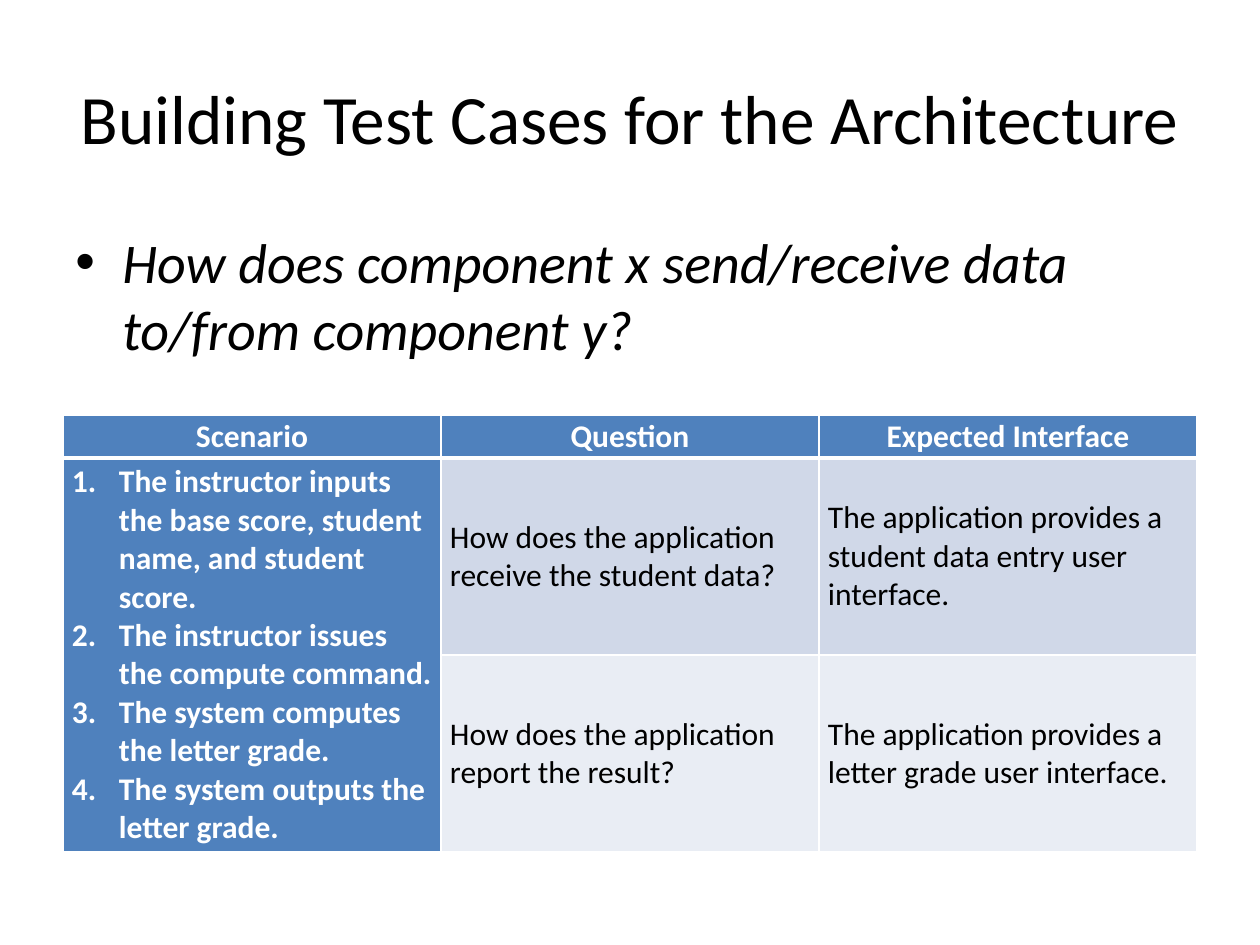
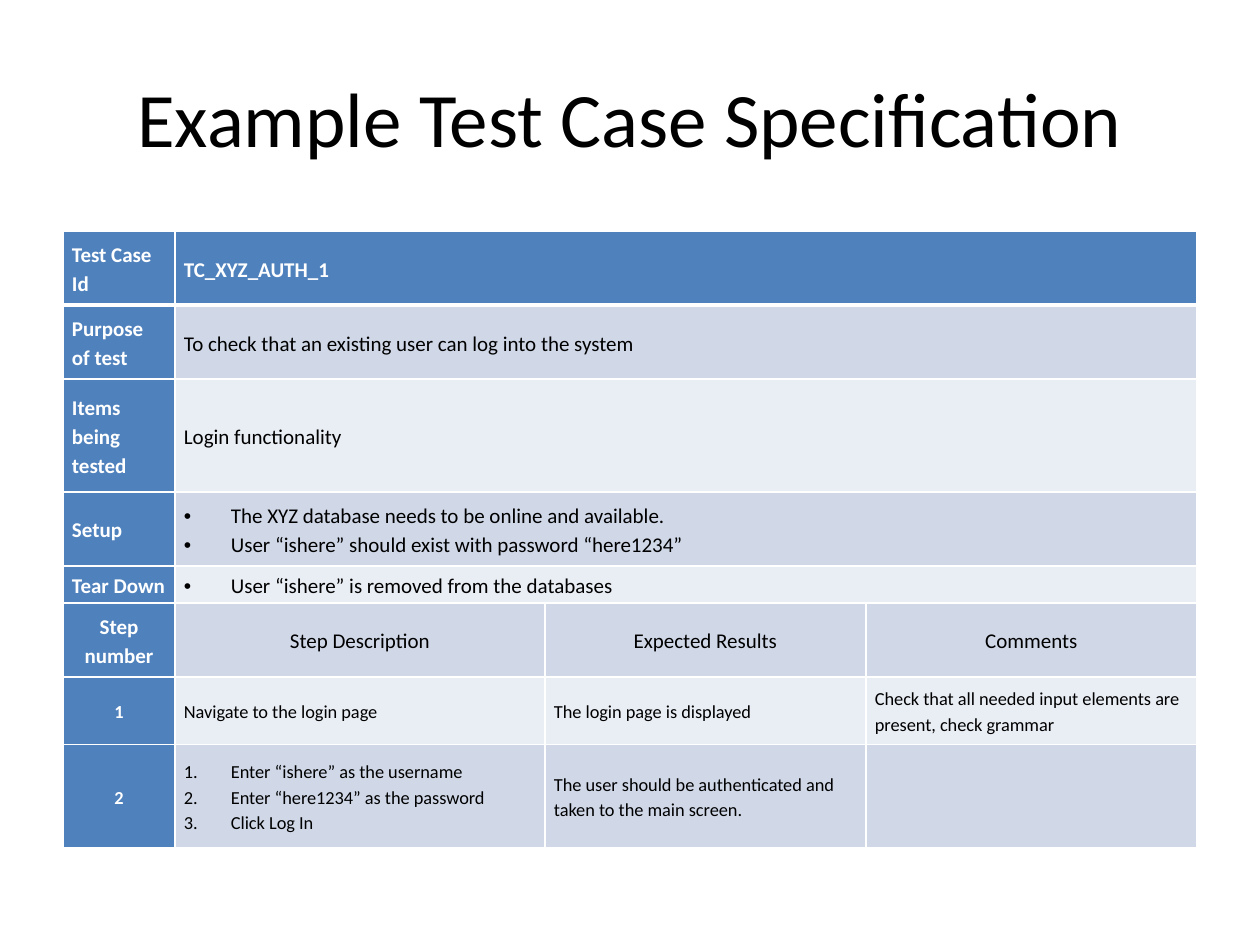
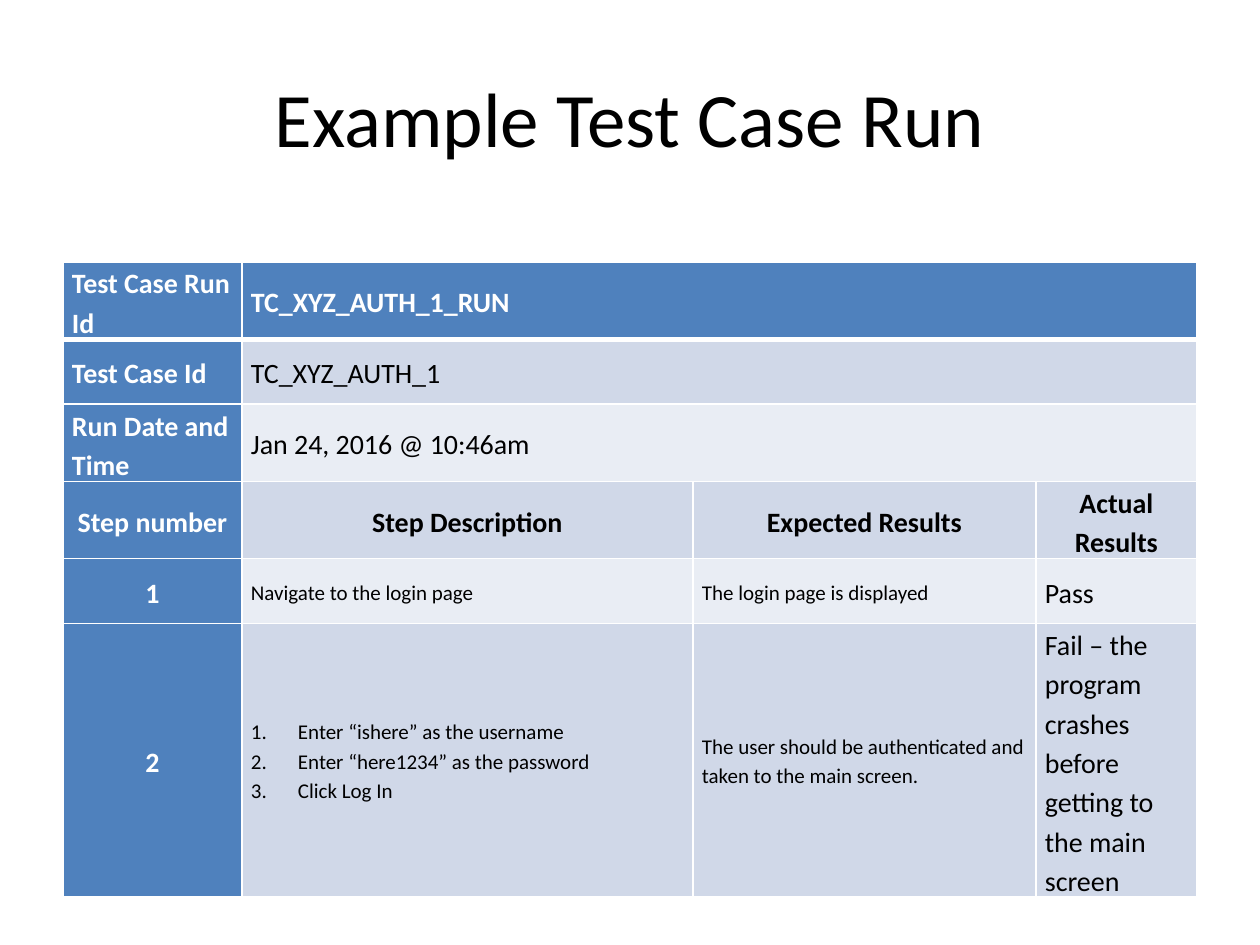
"""Builds three slides about architecture test cases and their runs."""
import dataclasses

import lxml.etree
import pptx
import pptx.dml.color
import pptx.enum.text
import pptx.oxml.ns
import pptx.util

SCALE = 914400 / 126


@dataclasses.dataclass(frozen=True)
class Theme:
    font: str = "Calibri"
    ink: str = "000000"
    paper: str = "FFFFFF"
    header: str = "4F81BD"
    bands: tuple = ("E9EDF4", "D0D8E8")
    body_size: float = 32
    left: int = 63
    width: int = 1134
    indent: int = 47
    inset: int = 9
    thin: float = 1
    thick: float = 3


theme = Theme()
CENTER = pptx.enum.text.PP_ALIGN.CENTER
LEFT = pptx.enum.text.PP_ALIGN.LEFT
MIDDLE = pptx.enum.text.MSO_ANCHOR.MIDDLE


def px(pixels):
    return pptx.util.Emu(round(pixels * SCALE))


def write(frame, lines, size, color=theme.ink, bold=False, italic=False,
          align=LEFT, spacing=1.0, marker=None):
    for index, line in enumerate(lines):
        para = frame.paragraphs[0] if index == 0 else frame.add_paragraph()
        para.alignment = align
        para.line_spacing = spacing
        if marker:
            props = para._p.get_or_add_pPr()
            props.set("marL", str(px(theme.indent)))
            props.set("indent", str(-px(theme.indent)))
            if marker == "number":
                tags = (("a:buFont", "typeface", "+mj-lt"), ("a:buAutoNum", "type", "arabicPeriod"))
            else:
                tags = (("a:buFont", "typeface", "Arial"), ("a:buChar", "char", "•"))
            for tag, key, value in tags:
                lxml.etree.SubElement(props, pptx.oxml.ns.qn(tag)).set(key, value)
        span = para.add_run()
        span.text = line
        span.font.name = theme.font
        span.font.size = pptx.util.Pt(size)
        span.font.bold = bold
        span.font.italic = italic
        span.font.color.rgb = pptx.dml.color.RGBColor.from_string(color)


login_steps = ("number", "Enter “ishere” as the username",
               "Enter “here1234” as the password", "Click Log In")
open_page = ("Navigate to the login page", "The login page is displayed")
signed_in = "The user should be authenticated and taken to the main screen."

slides = [
    dict(
        title="Building Test Cases for the Architecture", title_size=39.6,
        question="How does component x send/receive data to/from component y?",
        top=415, columns=(378, 378, 378), heights=(43, 197, 197), spacing=1.0,
        size=18, step_sizes=(18, 18, 18), heading=0, bold_heading=True,
        rows=[
            ("Scenario", "Question", "Expected Interface"),
            (("number",
              "The instructor inputs the base score, student name, and student score.",
              "The instructor issues the compute command.",
              "The system computes the letter grade.",
              "The system outputs the letter grade."),
             "How does the application receive the student data?",
             "The application provides a student data entry user interface."),
            (None, "How does the application report the result?",
             "The application provides a letter grade user interface."),
        ],
    ),
    dict(
        title="Example Test Case Specification", title_size=44, question=None,
        top=231, columns=(112, 370, 321, 331),
        heights=(74, 74, 113, 74, 37, 74, 68, 103), spacing=1.15,
        size=12, step_sizes=(10.5, 10.5, 10.5, 10.5), heading=5, bold_heading=False,
        rows=[
            ("Test Case Id", "TC_XYZ_AUTH_1"),
            ("Purpose of test", "To check that an existing user can log into the system"),
            ("Items being tested", "Login functionality"),
            ("Setup", ("bullet", "The XYZ database needs to be online and available.",
                       "User “ishere” should exist with password “here1234”")),
            ("Tear Down", ("bullet", "User “ishere” is removed from the databases")),
            ("Step number", "Step Description", "Expected Results", "Comments"),
            ("1", *open_page,
             "Check that all needed input elements are present, check grammar"),
            ("2", login_steps, signed_in, ""),
        ],
    ),
    dict(
        title="Example Test Case Run", title_size=44, question=None,
        top=262, columns=(179, 451, 343, 161),
        heights=(65, 65, 65, 65, 65, 273), spacing=1.15,
        size=16, step_sizes=(16, 12, 12, 16), heading=3, bold_heading=True,
        rows=[
            ("Test Case Run Id", "TC_XYZ_AUTH_1_RUN"),
            ("Test Case Id", "TC_XYZ_AUTH_1"),
            ("Run Date and Time", "Jan 24, 2016 @ 10:46am"),
            ("Step number", "Step Description", "Expected Results", "Actual Results"),
            ("1", *open_page, "Pass"),
            ("2", login_steps, signed_in,
             "Fail – the program crashes before getting to the main screen"),
        ],
    ),
]

deck = pptx.Presentation()
deck.slide_width, deck.slide_height = px(1260), px(945)

for content in slides:
    page = deck.slides.add_slide(deck.slide_layouts[6])
    box = page.shapes.add_textbox(px(theme.left), px(38), px(theme.width), px(158))
    box.text_frame.word_wrap = True
    box.text_frame.vertical_anchor = MIDDLE
    write(box.text_frame, [content["title"]], content["title_size"], align=CENTER)

    if content["question"]:
        box = page.shapes.add_textbox(px(theme.left), px(221), px(theme.width), px(158))
        box.text_frame.word_wrap = True
        write(box.text_frame, [content["question"]], theme.body_size,
              italic=True, marker="bullet")

    columns, heights, heading = content["columns"], content["heights"], content["heading"]
    table = page.shapes.add_table(
        len(heights), len(columns), px(theme.left), px(content["top"]),
        px(theme.width), px(sum(heights))).table
    for column, width in zip(table.columns, columns):
        column.width = px(width)
    for row, height in zip(table.rows, heights):
        row.height = px(height)

    for r, texts in enumerate(content["rows"]):
        for c in range(len(columns)):
            cell = table.cell(r, c)
            is_header = r == 0 or c == 0
            cell.margin_left = cell.margin_right = px(theme.inset)
            cell.margin_top = cell.margin_bottom = 0
            cell.vertical_anchor = MIDDLE
            props = cell._tc.get_or_add_tcPr()
            for side in "LRTB":
                is_rule = (r, side) in ((0, "B"), (1, "T"))
                weight = theme.thick if is_rule else theme.thin
                line = lxml.etree.SubElement(props, pptx.oxml.ns.qn("a:ln" + side))
                line.set("w", str(pptx.util.Pt(weight)))
                solid = lxml.etree.SubElement(line, pptx.oxml.ns.qn("a:solidFill"))
                lxml.etree.SubElement(solid, pptx.oxml.ns.qn("a:srgbClr")).set("val", theme.paper)
            cell.fill.solid()
            cell.fill.fore_color.rgb = pptx.dml.color.RGBColor.from_string(
                theme.header if is_header else theme.bands[r % 2])

            text = texts[c] if c < len(texts) else None
            if not text:
                continue
            is_list = isinstance(text, tuple)
            is_centred = r == heading or (r > heading and c == 0 and not is_list)
            write(cell.text_frame, text[1:] if is_list else [text],
                  content["step_sizes"][c] if r > heading else content["size"],
                  color=theme.paper if is_header else theme.ink,
                  bold=is_header or (r == heading and content["bold_heading"]),
                  align=CENTER if is_centred else LEFT,
                  spacing=content["spacing"], marker=text[0] if is_list else None)

        if len(texts) < len(columns):
            table.cell(r, len(texts) - 1).merge(table.cell(r, len(columns) - 1))
        if texts[0] is None:
            table.cell(r - 1, 0).merge(table.cell(r, 0))

deck.save("out.pptx")
